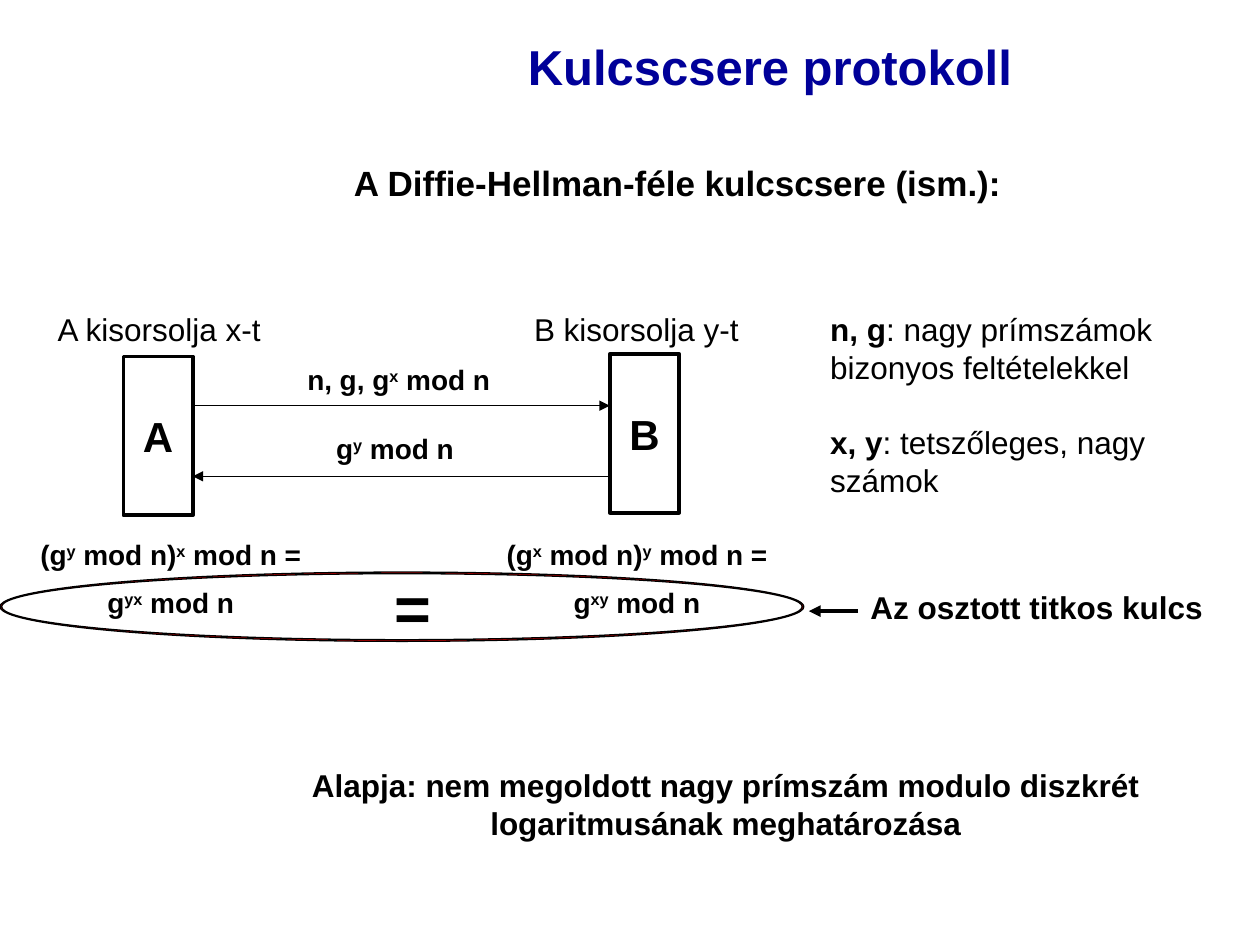
import pptx
import pptx.util
import pptx.dml.color
import pptx.enum.shapes
import pptx.enum.text
import pptx.oxml
import pptx.oxml.ns

Inches = pptx.util.Inches
Pt = pptx.util.Pt
Shapes = pptx.enum.shapes.MSO_SHAPE
Align = pptx.enum.text.PP_ALIGN
Anchor = pptx.enum.text.MSO_ANCHOR
AutoSize = pptx.enum.text.MSO_AUTO_SIZE

BLACK = pptx.dml.color.RGBColor(0x00, 0x00, 0x00)
NAVY = pptx.dml.color.RGBColor(0x00, 0x00, 0x99)
RED = pptx.dml.color.RGBColor(0xFF, 0x00, 0x00)

LEFT_EDGE, RIGHT_EDGE = 1.53, 4.84


class SlideBuilder:
    font_name = "Arial"

    def __init__(self, page):
        self.page = page

    def style(self, font, size, bold=True, color=BLACK):
        font.name = self.font_name
        font.size = Pt(size)
        font.bold = bold
        font.color.rgb = color

    def title(self, text, left, top, width, height):
        box = self.page.shapes.title
        box.left, box.top = Inches(left), Inches(top)
        box.width, box.height = Inches(width), Inches(height)
        box.text_frame.text = text
        box.text_frame.vertical_anchor = Anchor.MIDDLE
        para = box.text_frame.paragraphs[0]
        para.alignment = Align.CENTER
        self.style(para.runs[0].font, 28, color=NAVY)

    def text(self, paragraphs, left, top, width, height, size, bold=True,
             align=Align.LEFT, wrap=False, gap=0):
        box = self.page.shapes.add_textbox(
            Inches(left), Inches(top), Inches(width), Inches(height))
        frame = box.text_frame
        frame.word_wrap = wrap
        frame.auto_size = AutoSize.SHAPE_TO_FIT_TEXT
        for index, spans in enumerate(paragraphs):
            para = frame.add_paragraph() if index else frame.paragraphs[0]
            para.alignment = align
            if index:
                para.space_before = Pt(gap)
            for content, kind in spans:
                span = para.add_run()
                span.text = content
                self.style(span.font, size, bold and kind != "light")
                if kind == "power":
                    span.font._element.set("baseline", "30000")

    def line_of_text(self, text, *place, **options):
        self.text([[(text, "normal")]], *place, **options)

    def formula(self, lines, *place, **options):
        paragraphs = [
            [(part, "power" if index % 2 else "normal")
             for index, part in enumerate(line.split("^"))]
            for line in lines]
        self.text(paragraphs, *place, size=16, **options)

    def shape(self, kind, left, top, width, height, line_width, fill=None):
        shape = self.page.shapes.add_shape(
            kind, Inches(left), Inches(top), Inches(width), Inches(height))
        shape.shadow.inherit = False
        if fill is None:
            shape.fill.background()
        else:
            shape.fill.solid()
            shape.fill.fore_color.rgb = fill
        shape.line.color.rgb = BLACK
        shape.line.width = Pt(line_width)
        return shape

    def party(self, name, left, top):
        shape = self.shape(Shapes.RECTANGLE, left, top, 0.55, 1.26, 2.25)
        frame = shape.text_frame
        frame.text = name
        frame.word_wrap = False
        frame.vertical_anchor = Anchor.MIDDLE
        para = frame.paragraphs[0]
        para.alignment = Align.CENTER
        self.style(para.runs[0].font, 24)

    def ring(self, left, top, width, height):
        shape = self.shape(Shapes.DONUT, left, top, width, height, 0.75, RED)
        shape.adjustments[0] = 0.024

    def arrow(self, start, end, level, line_width):
        connector = self.page.shapes.add_connector(
            pptx.enum.shapes.MSO_CONNECTOR.STRAIGHT,
            Inches(start), Inches(level), Inches(end), Inches(level))
        connector.line.color.rgb = BLACK
        connector.line.width = Pt(line_width)
        line = connector.line._get_or_add_ln()
        tip = pptx.oxml.parse_xml(
            f'<a:tailEnd {pptx.oxml.ns.nsdecls("a")} type="triangle"/>')
        line.append(tip)
        line.addnext(pptx.oxml.parse_xml(
            f'<a:effectLst {pptx.oxml.ns.nsdecls("a")}/>'))


def main():
    deck = pptx.Presentation()
    deck.slide_width, deck.slide_height = Inches(10), Inches(7.5)
    slide = SlideBuilder(deck.slides.add_slide(deck.slide_layouts[5]))

    slide.title("Kulcscsere protokoll", 2.72, 0.21, 6.78, 0.63)
    slide.line_of_text("A Diffie-Hellman-féle kulcscsere (ism.):",
                       2.71, 1.23, 5.35, 0.44, size=20)

    slide.party("A", 0.98, 2.83)
    slide.party("B", 4.84, 2.81)
    for label, left in (("A kisorsolja x-t", 0.36), ("B kisorsolja y-t", 4.14)):
        slide.line_of_text(label, left, 2.41, 1.86, 0.4, size=18, bold=False)

    slide.arrow(LEFT_EDGE, RIGHT_EDGE, 3.22, 0.75)
    slide.formula(["n, g, g^x^ mod n"], 2.34, 2.83, 1.65, 0.37)
    slide.arrow(RIGHT_EDGE, LEFT_EDGE, 3.78, 0.75)
    slide.formula(["g^y^ mod n"], 2.57, 3.38, 1.13, 0.37)

    slide.text([[("n, g", "normal"),
                 (": nagy prímszámok bizonyos feltételekkel", "light")],
                [("x, y", "normal"), (": tetszőleges, nagy számok", "light")]],
               6.49, 2.41, 3.07, 1.6, size=18, wrap=True, gap=21.5)

    for left, received, own in ((0.22, "y", "x"), (3.92, "x", "y")):
        slide.formula([f"(g^{received}^ mod n)^{own}^ mod n =",
                       f"g^{received}{own}^ mod n"],
                      left, 4.22, 2.27, 0.75, align=Align.CENTER, gap=8)
    slide.line_of_text("=", 3.03, 4.46, 0.49, 0.7, size=36)
    slide.ring(0, 4.54, 6.38, 0.55)

    slide.line_of_text("Az osztott titkos kulcs", 6.81, 4.62, 2.84, 0.4, size=18)
    slide.arrow(6.81, 6.42, 4.85, 2.25)
    slide.line_of_text("Alapja: nem megoldott nagy prímszám modulo diszkrét "
                       "logaritmusának meghatározása", 1.85, 6.03, 7.82, 0.7,
                       size=18, align=Align.CENTER, wrap=True)

    deck.save("out.pptx")


if __name__ == "__main__":
    main()
